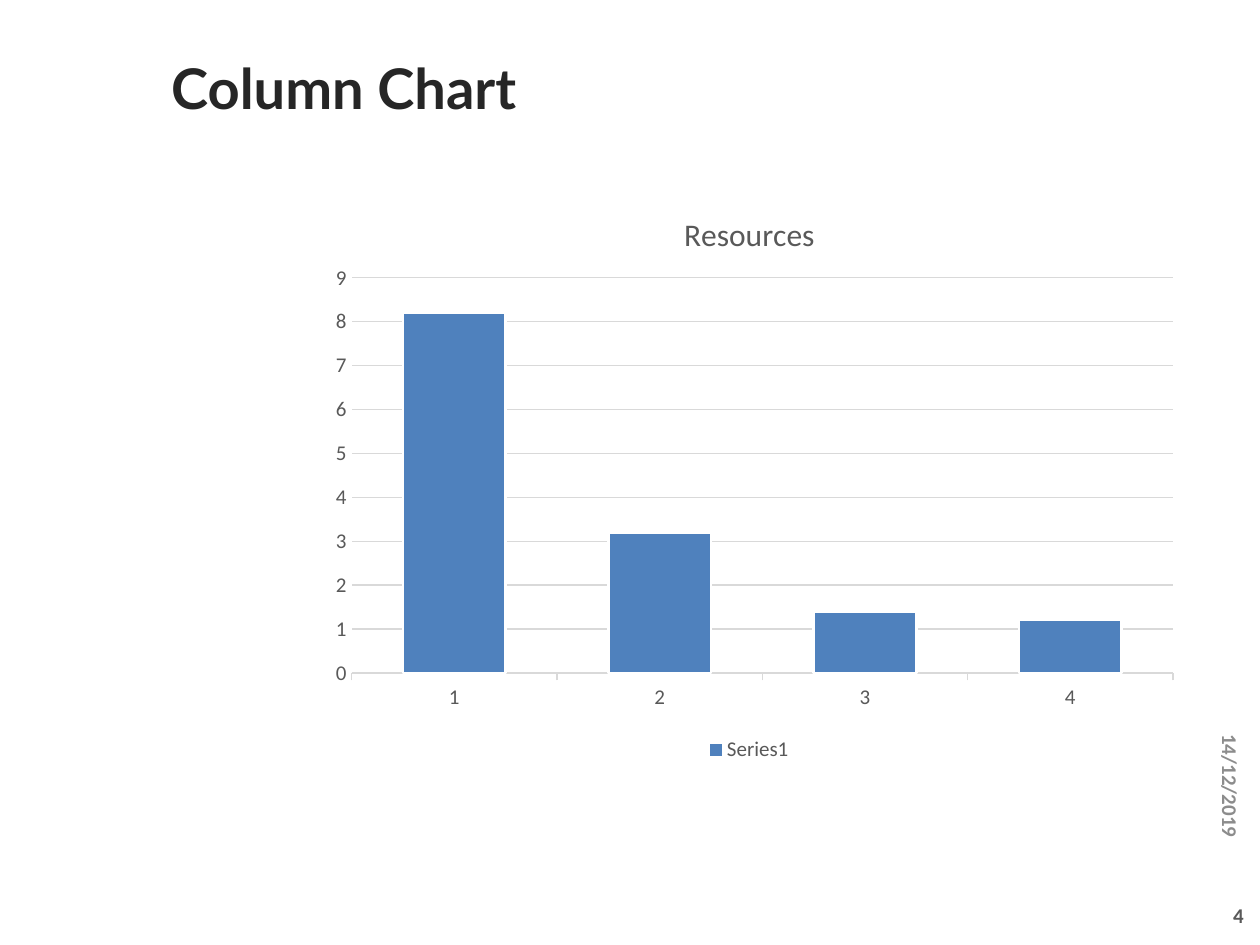
from dataclasses import dataclass

import pptx
import pptx.chart.data
import pptx.dml.color
import pptx.enum.chart
import pptx.enum.text
import pptx.oxml
import pptx.oxml.ns
import pptx.util

WIDTH = pptx.util.Inches(10)
HEIGHT = pptx.util.Inches(7.5)
GREY = "595959"
PALE = "D9D9D9"


@dataclass(frozen=True)
class Area:
    left: float
    top: float
    width: float
    height: float

    def lengths(self) -> tuple[int, ...]:
        return (
            round(self.left * WIDTH / 100),
            round(self.top * HEIGHT / 100),
            round(self.width * WIDTH / 100),
            round(self.height * HEIGHT / 100),
        )


@dataclass(frozen=True)
class Label:
    text: str
    area: Area
    size: int
    font: str
    color: str
    align: pptx.enum.text.PP_ALIGN
    rotation: int = 0


LEFT = pptx.enum.text.PP_ALIGN.LEFT
RIGHT = pptx.enum.text.PP_ALIGN.RIGHT
LABELS = [
    Label("Column Chart", Area(12.6, 2.13, 81.9, 14.27), 32, "Lato", "262626", LEFT),
    Label("14/12/2019", Area(86, 71.73, 23.3, 5.33), 12, "Calibri", "8C8C8C", RIGHT, 90),
    Label("4", Area(95.7, 94.13, 4, 5.33), 12, "Calibri", GREY, RIGHT),
]
CHART_AREA = Area(24.4, 18.8, 70.1, 62.4)
VALUES = {"1": 8.2, "2": 3.2, "3": 1.4, "4": 1.2}


def rgb(color: str) -> pptx.dml.color.RGBColor:
    return pptx.dml.color.RGBColor.from_string(color)


def style_font(font, size: int, color: str, name: str = "Calibri", bold: bool = False) -> None:
    font.size = pptx.util.Pt(size)
    font.name = name
    font.bold = bold
    font.color.rgb = rgb(color)


def style_line(line, color: str, width: float) -> None:
    line.color.rgb = rgb(color)
    line.width = pptx.util.Pt(width)


def draw_label(page, label: Label) -> None:
    box = page.shapes.add_textbox(*label.area.lengths())
    box.rotation = label.rotation
    frame = box.text_frame
    frame.word_wrap = True
    frame.vertical_anchor = pptx.enum.text.MSO_ANCHOR.MIDDLE
    para = frame.paragraphs[0]
    para.alignment = label.align
    span = para.add_run()
    span.text = label.text
    style_font(span.font, label.size, label.color, label.font, True)


def place_part(part, target: str, **shares: float) -> None:
    for old in part.findall(pptx.oxml.ns.qn("c:layout")):
        part.remove(old)
    inner = f'<c:layoutTarget val="{target}"/>' if target else ""
    modes = "".join(f'<c:{key}Mode val="edge"/>' for key in ("x", "y"))
    sizes = "".join(f'<c:{key} val="{share}"/>' for key, share in shares.items())
    layout = pptx.oxml.parse_xml(
        f'<c:layout {pptx.oxml.ns.nsdecls("c")}><c:manualLayout>'
        f"{inner}{modes}{sizes}</c:manualLayout></c:layout>"
    )
    text = part.find(pptx.oxml.ns.qn("c:tx"))
    part.insert(0 if text is None else part.index(text) + 1, layout)


def draw_chart(page) -> None:
    data = pptx.chart.data.CategoryChartData()
    data.categories = list(VALUES)
    data.add_series("Series1", list(VALUES.values()))
    kind = pptx.enum.chart.XL_CHART_TYPE.COLUMN_CLUSTERED
    chart = page.shapes.add_chart(kind, *CHART_AREA.lengths(), data).chart
    style_font(chart.font, 12, GREY)

    chart.has_title = True
    span = chart.chart_title.text_frame.paragraphs[0].add_run()
    span.text = "Resources"
    style_font(span.font, 18, GREY)
    chart.chart_title.include_in_layout = False

    chart.has_legend = True
    chart.legend.position = pptx.enum.chart.XL_LEGEND_POSITION.BOTTOM
    chart.legend.include_in_layout = False
    style_font(chart.legend.font, 12, GREY)

    plot = chart.plots[0]
    plot.gap_width = 100
    plot.vary_by_categories = False
    columns = plot.series[0]
    columns.invert_if_negative = False
    columns.format.fill.solid()
    columns.format.fill.fore_color.rgb = rgb("4F81BD")
    style_line(columns.format.line, "FFFFFF", 1.5)

    marks = pptx.enum.chart.XL_TICK_MARK
    for axis, mark in ((chart.category_axis, marks.OUTSIDE), (chart.value_axis, marks.NONE)):
        axis.major_tick_mark = mark
        axis.minor_tick_mark = marks.NONE
        style_font(axis.tick_labels.font, 12, GREY)
    style_line(chart.category_axis.format.line, PALE, 0.75)
    scale = chart.value_axis
    scale.minimum_scale, scale.maximum_scale, scale.major_unit = 0, 9, 1
    scale.format.line.fill.background()
    scale.has_major_gridlines = True
    style_line(scale.major_gridlines.format.line, PALE, 0.75)

    root = chart.element.find(pptx.oxml.ns.qn("c:chart"))
    place_part(root.find(pptx.oxml.ns.qn("c:title")), "", x=0.42, y=0.05)
    plot_area = root.find(pptx.oxml.ns.qn("c:plotArea"))
    place_part(plot_area, "inner", x=0.05, y=0.17, w=0.93, h=0.67)


def main() -> None:
    deck = pptx.Presentation()
    deck.slide_width, deck.slide_height = WIDTH, HEIGHT
    page = deck.slides.add_slide(deck.slide_layouts[6])
    draw_chart(page)
    for label in LABELS:
        draw_label(page, label)
    deck.save("out.pptx")


if __name__ == "__main__":
    main()
